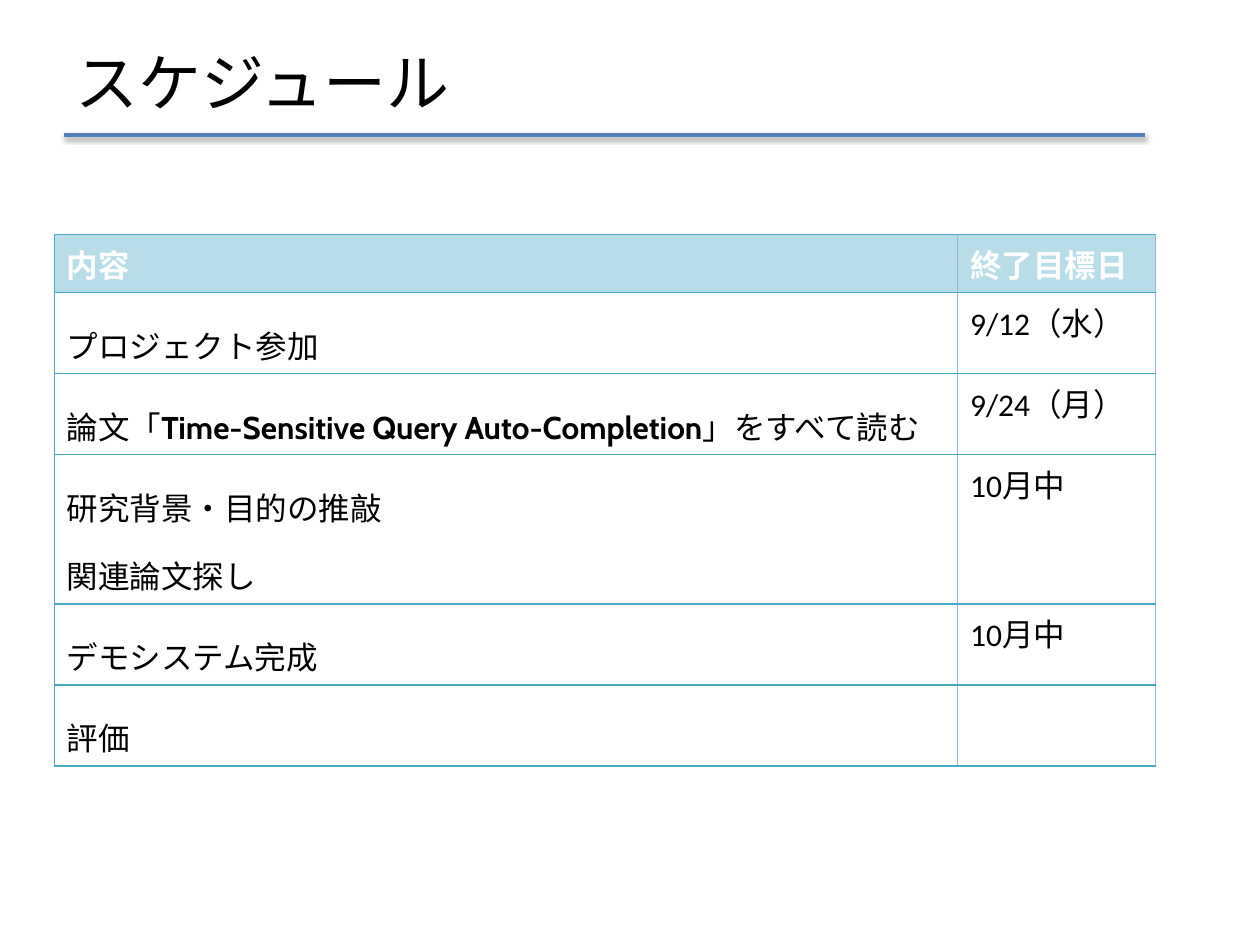
from dataclasses import dataclass

from lxml import etree
from pptx import Presentation
from pptx.dml.color import RGBColor
from pptx.enum import shapes, text
from pptx.oxml import ns, parse_xml
from pptx.util import Inches, Pt

COLORS = {"text": "000000", "header": "B7DEE8", "header_text": "FFFFFF",
          "teal": "46AAC5", "blue": "95B3D7", "rule": "4F81BD"}
JP, LATIN, CABIN = "Noto Sans CJK JP", "Calibri", "Cabin"
HEADERS = ("内容", "終了目標日")
COL_WIDTHS = (7.17, 1.57)
ROW_HEIGHT = 0.42


@dataclass
class Span:
    """A piece of text in one style."""
    text: str
    font: str = JP
    bold: bool = False


@dataclass
class Task:
    """One schedule row: paragraphs of spans, and the target date."""
    lines: list[list[Span]]
    due: str = ""


TASKS = [
    Task([[Span("プロジェクト参加")]], "9/12（水）"),
    Task([[Span("論文「"), Span("Time-Sensitive Query Auto-Completion", CABIN, True),
           Span("」をすべて読む")]], "9/24（月）"),
    Task([[Span("研究背景・目的の推敲")], [Span("関連論文探し")]], "10月中"),
    Task([[Span("デモシステム完成")]], "10月中"),
    Task([[Span("評価")]]),
]


def rgb(name: str) -> RGBColor:
    """Look up a palette colour."""
    return RGBColor.from_string(COLORS[name])


def style_run(r, font: str, size: float, color: str, bold: bool = False) -> None:
    """Set the look of a run, with the Japanese font for East Asian text."""
    r.font.name, r.font.size, r.font.bold = font, Pt(size), bold
    r.font.color.rgb = rgb(color)
    r.font.language_id = None
    ea = etree.Element(ns.qn("a:ea"), typeface=JP)
    r._r.rPr.find(ns.qn("a:latin")).addnext(ea)


def set_borders(cell, left: str) -> None:
    """Draw the four cell borders; only the left colour varies."""
    sides = (("L", left), ("R", "blue"), ("T", "teal"), ("B", "teal"))
    for i, (side, color) in enumerate(sides):
        width = Pt(1 if color == "blue" else 0.75)
        cell._tc.get_or_add_tcPr().insert(i, parse_xml(
            f'<a:ln{side} {ns.nsdecls("a")} w="{width}"><a:solidFill>'
            f'<a:srgbClr val="{COLORS[color]}"/></a:solidFill></a:ln{side}>'))


def fill_cell(cell, lines: list[list[Span]], color: str, spacing: float | None) -> None:
    """Write paragraphs of spans into a cell."""
    tf = cell.text_frame
    for i, spans in enumerate(lines):
        p = tf.add_paragraph() if i else tf.paragraphs[0]
        if spacing:
            p.line_spacing = spacing
        for span in spans:
            r = p.add_run()
            r.text = span.text
            style_run(r, span.font, 18, color, span.bold)


def add_title(s, title: str) -> None:
    """Place and format the title."""
    sp = s.shapes.title
    sp.left, sp.top, sp.width, sp.height = map(Inches, (0.5, 0.3, 8.17, 0.69))
    tf = sp.text_frame
    tf.text = title
    tf.auto_size = text.MSO_AUTO_SIZE.NONE
    tf.vertical_anchor = text.MSO_ANCHOR.MIDDLE
    p = tf.paragraphs[0]
    p.alignment = text.PP_ALIGN.LEFT
    style_run(p.runs[0], JP, 36, "text")


def add_schedule(s) -> None:
    """Draw the schedule table."""
    n = len(TASKS) + 1
    table = s.shapes.add_table(n, 2, Inches(0.43), Inches(1.86), Inches(sum(COL_WIDTHS)),
                               Inches(ROW_HEIGHT * n)).table
    table.horz_banding = False
    for column, width in zip(table.columns, COL_WIDTHS):
        column.width = Inches(width)
    for col, header in enumerate(HEADERS):
        fill_cell(table.cell(0, col), [[Span(header, LATIN, True)]], "header_text", None)
    for row, task in enumerate(TASKS, 1):
        fill_cell(table.cell(row, 0), task.lines, "text", 1.5)
        if task.due:
            fill_cell(table.cell(row, 1), [[Span(task.due, LATIN)]], "text", None)
    for row in range(n):
        for col, left in enumerate(("teal", "blue")):
            cell = table.cell(row, col)
            if row == 0:
                cell.fill.solid()
                cell.fill.fore_color.rgb = rgb("header")
            else:
                cell.fill.background()
            set_borders(cell, left)


def add_rule(s) -> None:
    """Draw the shadowed line under the title."""
    line = s.shapes.add_connector(shapes.MSO_CONNECTOR.STRAIGHT, Inches(0.51), Inches(1.07),
                                  Inches(9.09), Inches(1.07))
    line.line.color.rgb = rgb("rule")
    line.line.width = Pt(2)
    line._element.spPr.append(parse_xml(
        f'<a:effectLst {ns.nsdecls("a")}><a:outerShdw blurRad="{Pt(3.1)}" dist="{Pt(1.6)}" '
        f'dir="5400000" rotWithShape="0"><a:srgbClr val="{COLORS["text"]}">'
        '<a:alpha val="38000"/></a:srgbClr></a:outerShdw></a:effectLst>'))


prs = Presentation()
prs.slide_width, prs.slide_height = Inches(10), Inches(7.5)
s = prs.slides.add_slide(prs.slide_layouts[5])
add_title(s, "スケジュール")
add_schedule(s)
add_rule(s)
prs.save("out.pptx")
